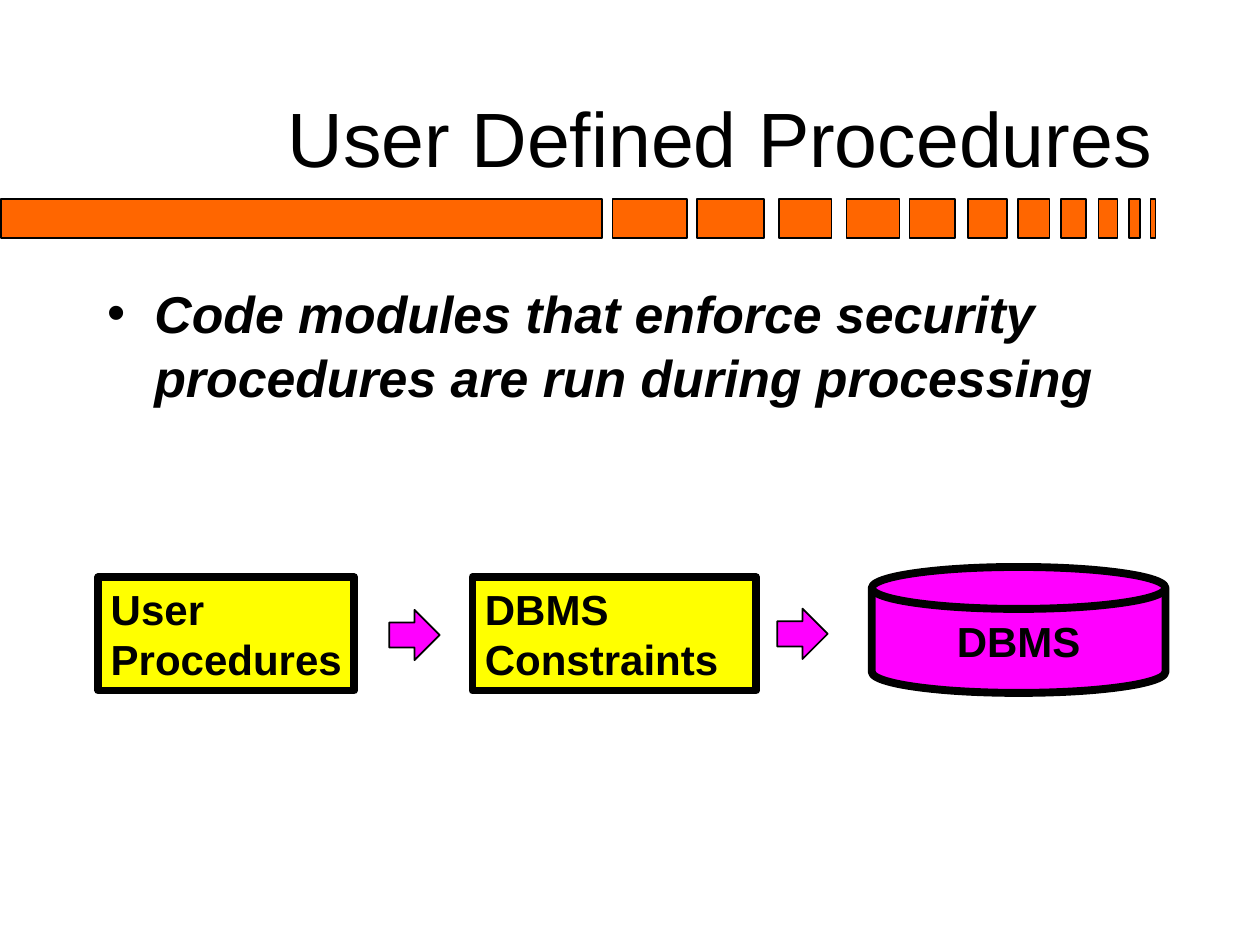
"""Build the slide on user defined procedures."""
import pptx
import pptx.util
import pptx.dml.color
import pptx.enum.shapes
import pptx.enum.text
import pptx.oxml

Pt = pptx.util.Pt
Kind = pptx.enum.shapes.MSO_SHAPE
Align = pptx.enum.text.PP_ALIGN
Anchor = pptx.enum.text.MSO_ANCHOR

HUES = {"ink": "000000", "bar": "FF6600", "box": "FFFF00", "store": "FF00FF"}
BARS = [(0.7, 343.5), (350, 42.5), (398.2, 38.2), (445, 30.2), (483.8, 30.2),
        (519.8, 26), (553, 22.3), (581.8, 18), (606.2, 14.4), (627.8, 10.8),
        (645.1, 6.5), (657.4, 2.9)]
BOXES = [(56.2, 146.2, "User\nProcedures", False),
         (270, 162, "DBMS\nConstraints", True)]
ARROWS = [(222.5, 348.5), (444.2, 347.8)]


class Deck:
    """Hold the style and the current slide."""

    def __init__(self, show):
        self.face = "Arial"
        self.slide = show.slides.add_slide(show.slide_layouts[1])

    def hue(self, name):
        return pptx.dml.color.RGBColor.from_string(HUES[name])

    def letter(self, shape, text, font, frame, para):
        area = shape.text_frame
        area.text = text
        area.auto_size = pptx.enum.text.MSO_AUTO_SIZE.NONE
        for key, value in frame.items():
            setattr(area, key, value)
        for line in area.paragraphs:
            for key, value in para.items():
                setattr(line, key, value)
            for key, value in {"name": self.face, **font}.items():
                setattr(line.font, key, value)
            line.font.color.rgb = self.hue("ink")

    def place(self, shape, spot):
        for key, value in zip(("left", "top", "width", "height"), spot):
            setattr(shape, key, Pt(value))

    def title(self, text, spot):
        shape = self.slide.shapes.title
        self.place(shape, spot)
        self.letter(shape, text, {"size": Pt(44)},
                    {"vertical_anchor": Anchor.BOTTOM}, {"alignment": Align.RIGHT})

    def body(self, text, spot):
        shape = self.slide.placeholders[1]
        self.place(shape, spot)
        shape.text_frame.text = text
        props = shape.text_frame.paragraphs[0]._p.get_or_add_pPr()
        props.set("marL", str(Pt(27)))
        props.set("indent", "0")
        props.append(pptx.oxml.parse_xml(
            '<a:buNone xmlns:a="http://schemas.openxmlformats.org/drawingml/2006/main"/>'))
        self.letter(shape, text, {"size": Pt(29.6), "bold": True, "italic": True},
                    {"vertical_anchor": Anchor.TOP},
                    {"space_before": Pt(0), "line_spacing": Pt(36.6)})

    def shape(self, kind, spot, fill, width=1):
        item = self.slide.shapes.add_shape(kind, *map(Pt, spot))
        item.shadow.inherit = False
        item.fill.solid()
        item.fill.fore_color.rgb = self.hue(fill)
        item.line.color.rgb = self.hue("ink")
        item.line.width = Pt(width)
        return item

    def label(self, kind, spot, fill, text, frame, para):
        item = self.shape(kind, spot, fill, 4.5)
        self.letter(item, text, {"size": Pt(24), "bold": True}, frame, para)


def main():
    show = pptx.Presentation()
    show.slide_width, show.slide_height = Pt(720), Pt(540)
    deck = Deck(show)
    for left, width in BARS:
        deck.shape(Kind.RECTANGLE, (left, 113.8, width, 22.3), "bar")
    deck.title("User Defined Procedures", (54, 15, 612, 93))
    deck.body("Code modules that enforce security procedures are run during processing",
              (54, 156.2, 612, 113.8))
    for left, width, text, wrap in BOXES:
        deck.label(Kind.RECTANGLE, (left, 329.8, width, 64.8), "box", text,
                   {"vertical_anchor": Anchor.TOP, "word_wrap": wrap},
                   {"alignment": Align.LEFT, "line_spacing": Pt(28.8)})
    for left, top in ARROWS:
        deck.shape(Kind.RIGHT_ARROW, (left, top, 28.8, 28.8), "store")
    deck.label(Kind.FLOWCHART_MAGNETIC_DISK, (498.2, 324, 167.8, 72), "store", "DBMS",
               {"vertical_anchor": Anchor.MIDDLE, "word_wrap": False},
               {"alignment": Align.CENTER})
    show.save("out.pptx")


if __name__ == "__main__":
    main()
